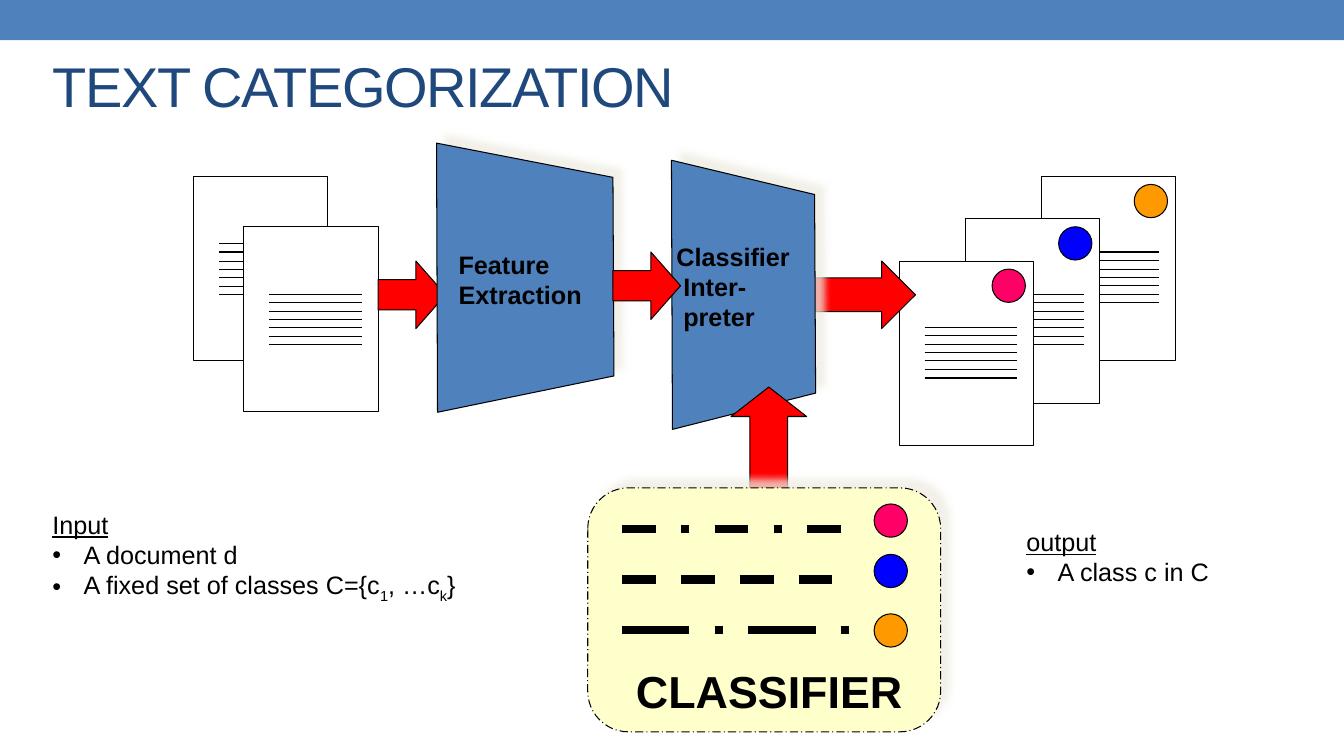
from dataclasses import dataclass
from typing import NamedTuple

from lxml.etree import SubElement
from pptx import Presentation
from pptx.dml.color import RGBColor
from pptx.enum.dml import MSO_LINE as Dash
from pptx.enum.shapes import MSO_CONNECTOR as Wire, MSO_SHAPE as Kind
from pptx.enum.text import MSO_ANCHOR as Anchor, MSO_AUTO_SIZE as Fit, PP_ALIGN as Align
from pptx.oxml.ns import qn
from pptx.util import Emu, Pt

SCALE = 9144  # EMU per px, 100 px to the inch
HUES = {
    "bar": "4F81BD", "title": "1F497D", "ink": "000000", "paper": "FFFFFF",
    "arrow": "FF0000", "panel": "FFFFCC", "shade": "EEECE1",
    "pink": "FF0066", "blue": "0000FF", "gold": "FF9900",
}


@dataclass
class Doc:
    left: int
    top: int
    gap: int  # from page top to first text line
    dot: str = ""


@dataclass
class Arrow:
    box: tuple
    kind: Kind = Kind.RIGHT_ARROW
    shaft: float = 0.5
    head: float = 0.5


@dataclass
class Rule:
    top: int  # shared by the dashed line and its class dot
    dot_top: int
    dash: Dash
    dot: str


class Run(NamedTuple):
    text: str
    base: int = 0


INPUT = [Doc(192, 175, 67), Doc(242, 225, 67)]
OUTPUT = [Doc(1033, 175, 75, "gold"), Doc(958, 217, 75, "blue"), Doc(892, 259, 66, "pink")]
RULES = [
    Rule(525, 500, Dash.DASH_DOT, "pink"),
    Rule(575, 550, Dash.DASH, "blue"),
    Rule(625, 609, Dash.LONG_DASH_DOT, "gold"),
]


def px(n: int) -> Emu:
    return Emu(n * SCALE)


def hue(name: str) -> RGBColor:
    return RGBColor.from_string(HUES[name])


def paint(shape, fill: str, edge: bool = True, shade: bool = False):
    shape.fill.solid()
    shape.fill.fore_color.rgb = hue(fill)
    if edge:
        shape.line.color.rgb = hue("ink")
        shape.line.width = Pt(0.75)
    else:
        shape.line.fill.background()
    shape.shadow.inherit = False
    if shade:
        glow = SubElement(
            shape.element.spPr.find(qn("a:effectLst")), qn("a:outerShdw"),
            blurRad=str(Pt(5)), dist=str(Pt(8.5)), dir="18900000", rotWithShape="0")
        tint = SubElement(glow, qn("a:srgbClr"), val=HUES["shade"])
        SubElement(tint, qn("a:alpha"), val="75000")
    return shape


def form(slide, kind: Kind, box: tuple, fill: str, **style):
    return paint(slide.shapes.add_shape(kind, *map(px, box)), fill, **style)


def line(slide, left: int, right: int, y: int, width: float = 0.75, dash=None) -> None:
    wire = slide.shapes.add_connector(Wire.STRAIGHT, px(left), px(y), px(right), px(y))
    wire.line.color.rgb = hue("ink")
    wire.line.width = Pt(width)
    if dash is not None:
        wire.line.dash_style = dash
    SubElement(wire.element.spPr, qn("a:effectLst"))


def write(shape, box: tuple, paras: list, size: int = 18, color: str = "ink",
          bold: bool = False, anchor=Anchor.TOP, wrap: bool = True,
          track: int = 0, listed: bool = False) -> None:
    """Fill a shape with text; a list has an underlined heading and bullets."""
    shape.left, shape.top, shape.width, shape.height = map(px, box)
    frame = shape.text_frame
    frame.word_wrap, frame.auto_size, frame.vertical_anchor = wrap, Fit.NONE, anchor
    for i, para in enumerate(paras):
        block = frame.paragraphs[0] if i == 0 else frame.add_paragraph()
        block.alignment = Align.LEFT
        block.space_before = Pt(0)
        if listed:
            mark(block, i > 0)
        for part in para if isinstance(para, list) else [Run(para)]:
            run = block.add_run()
            run.text = part.text
            font = run.font
            font.name, font.size, font.bold = "Arial", Pt(size), bold
            font.color.rgb = hue(color)
            font.underline = listed and i == 0
            props = run._r.get_or_add_rPr()
            if part.base:
                props.set("baseline", str(part.base * 1000))
            if track:
                props.set("spc", str(track * 100))


def mark(block, bullet: bool) -> None:
    props = block._p.get_or_add_pPr()
    dent = px(31) if bullet else 0
    props.set("marL", str(dent))
    props.set("indent", str(-dent))
    if bullet:
        SubElement(props, qn("a:buFont"), typeface="Arial")
        SubElement(props, qn("a:buChar"), char="•")
    else:
        SubElement(props, qn("a:buNone"))


def label(slide, box: tuple, paras: list, size: int = 18) -> None:
    write(slide.shapes.add_textbox(0, 0, 0, 0), box, paras, size=size, bold=True, wrap=False)


def dot(slide, left: int, top: int, fill: str) -> None:
    form(slide, Kind.OVAL, (left, top, 33, 33), fill)


def page(slide, doc: Doc) -> None:
    form(slide, Kind.RECTANGLE, (doc.left, doc.top, 133, 183), "paper")
    for i in range(7):
        line(slide, doc.left + 25, doc.left + 117, doc.top + doc.gap + round(i * 25 / 3))
    if doc.dot:
        dot(slide, doc.left + 92, doc.top + 8, doc.dot)


def arrow(slide, item: Arrow) -> None:
    shape = form(slide, item.kind, item.box, "arrow")
    shape.adjustments[0], shape.adjustments[1] = item.shaft, item.head


def funnel(slide, left: int, right: int, top: int) -> None:
    pen = slide.shapes.build_freeform(left, top, scale=SCALE)
    pen.add_line_segments(
        [(right, top + 34), (right + 1, top + 231), (left + 1, top + 267)], close=True)
    paint(pen.convert_to_shape(), "bar", shade=True)


def main() -> None:
    deck = Presentation()
    deck.slide_width, deck.slide_height = px(1333), px(750)
    slide = deck.slides.add_slide(deck.slide_layouts[3])
    title, left, right = slide.placeholders

    # Header and lists
    form(slide, Kind.RECTANGLE, (0, 0, 1333, 40), "bar", edge=False)
    write(title, (42, 30, 1200, 108), ["TEXT CATEGORIZATION"], size=40, color="title",
          anchor=Anchor.MIDDLE, track=-1)
    classes = [Run("A fixed set of classes C={c"), Run("1", -25), Run(", …c"),
               Run("k", -25), Run("}")]
    write(left, (42, 500, 442, 131), ["Input", "A document d", classes], listed=True)
    write(right, (1008, 517, 203, 71), ["output", "A class c in C"], listed=True)

    # Documents, before and after
    for doc in OUTPUT + INPUT:
        page(slide, doc)
    arrow(slide, Arrow((775, 259, 133, 67)))

    # Interpreter
    funnel(slide, 666, 808, 159)
    label(slide, (661, 234, 134, 101), ["Classifier", " Inter-", " preter"])
    arrow(slide, Arrow((375, 259, 67, 67), shaft=0.45, head=0.44))

    # Classifier panel
    arrow(slide, Arrow((725, 384, 75, 117), Kind.UP_ARROW, head=0.39))
    panel = form(slide, Kind.ROUNDED_RECTANGLE, (583, 484, 350, 242), "panel", shade=True)
    panel.line.dash_style = Dash.LONG_DASH_DOT
    for rule in RULES:
        dot(slide, 867, rule.dot_top, rule.dot)
        line(slide, 617, 842, rule.top, width=6, dash=rule.dash)
    label(slide, (621, 654, 287, 63), ["CLASSIFIER"], size=32)

    # Feature extraction
    funnel(slide, 433, 608, 142)
    label(slide, (445, 242, 144, 101), ["Feature", "Extraction"])
    arrow(slide, Arrow((608, 250, 67, 67), shaft=0.45, head=0.44))

    deck.save("out.pptx")


if __name__ == "__main__":
    main()
